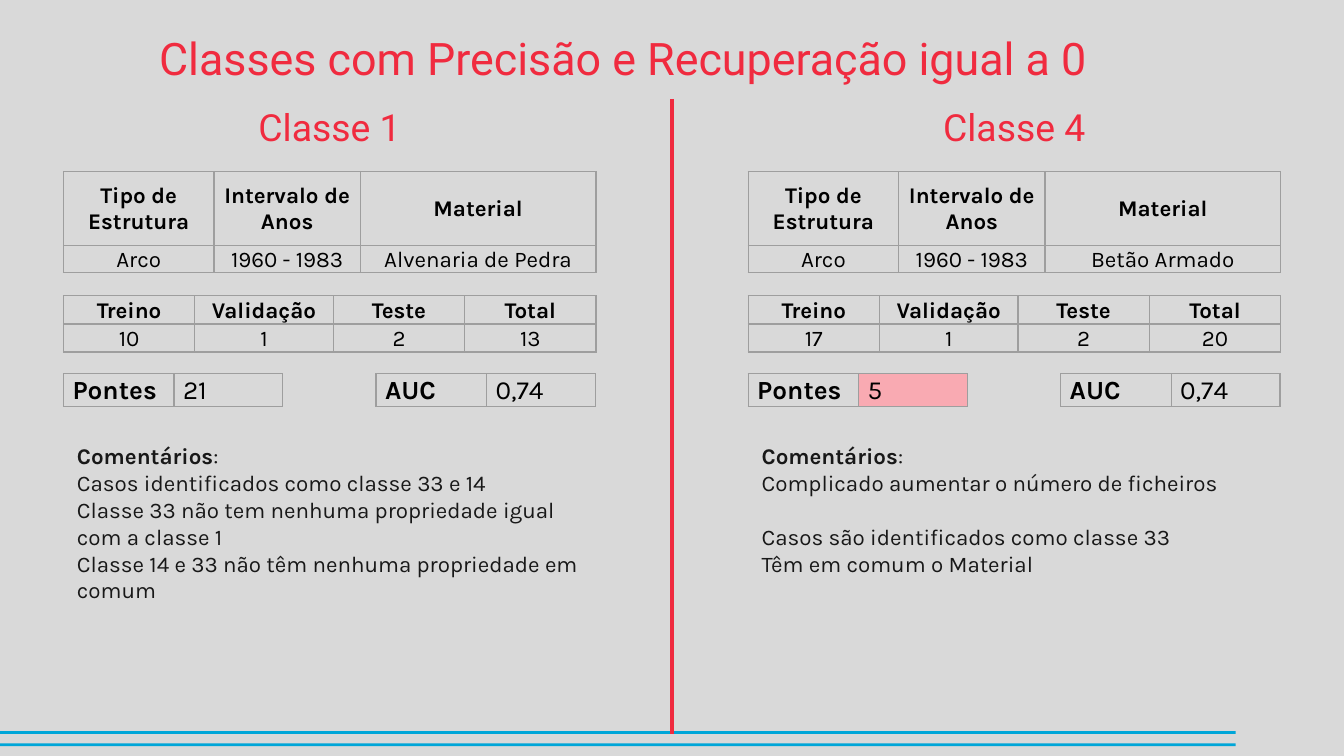
from dataclasses import dataclass

from lxml.etree import SubElement
from pptx import Presentation
from pptx.dml.color import RGBColor
from pptx.enum.shapes import MSO_CONNECTOR as Connector, MSO_SHAPE as Preset
from pptx.enum.text import MSO_ANCHOR as Anchor, MSO_AUTO_SIZE as AutoSize, PP_ALIGN as Align
from pptx.oxml.ns import qn
from pptx.util import Pt

RED, BLUE, GREY, PINK = "F02B3F", "00A6D8", "9E9E9E", "F9AAB2"
BLACK, INK, BACKDROP = "000000", "181818", "D9D9D9"


@dataclass(frozen=True)
class TableStyle:
    widths: tuple[float, ...]
    heights: tuple[float, ...]
    size: float = 12
    align: Align = Align.CENTER
    anchor: Anchor = Anchor.TOP
    insets: tuple[float, float, float, float] = (4.9, 0, 4.9, 0)
    spacing: float = 1.07
    header_row: bool = True


@dataclass(frozen=True)
class ClassPanel:
    left: float
    heading: str
    material: str
    counts: tuple[str, ...]
    bridges: str
    auc: str
    comments: tuple[tuple[str, float], ...]
    bridges_fill: str | None = None


PROPERTIES = TableStyle((80.7, 78.4, 126.2), (39.6, 14.6), anchor=Anchor.MIDDLE,
                        insets=(0.7, 0.7, 0.7, 0), spacing=1)
SAMPLES = TableStyle((70.4, 74.2, 70.4, 70.4), (15, 15))
METRIC = TableStyle((59.2, 58.3), (17.6,), size=14, align=Align.JUSTIFY, header_row=False)

PANELS = (
    ClassPanel(34, "Classe 1", "Alvenaria de Pedra", ("10", "1", "2", "13"), "21", "0,74", (
        ("Casos identificados como classe 33 e 14", 0),
        ("Classe 33 não tem nenhuma propriedade igual com a classe 1", 0),
        ("Classe 14 e 33 não têm nenhuma propriedade em comum", 0))),
    ClassPanel(400.8, "Classe 4", "Betão Armado", ("17", "1", "2", "20"), "5", "0,74", (
        ("Complicado aumentar o número de ficheiros", 0),
        ("Casos são identificados como classe 33", 14.4),
        ("Têm em comum o Material", 0)), PINK),
)


def rgb(value: str) -> RGBColor:
    return RGBColor.from_string(value)


def write(paragraph, text: str, *, size: float = 12, font: str = "Karla", color: str = BLACK,
          bold: bool = False, align: Align = Align.LEFT, spacing: float = 1,
          before: float = 0) -> None:
    paragraph.alignment = align
    paragraph.line_spacing = spacing
    paragraph.space_before = Pt(before)
    paragraph.space_after = Pt(0)
    run = paragraph.add_run()
    run.text = text
    run.font.size = Pt(size)
    run.font.name = font
    run.font.bold = bold
    run.font.color.rgb = rgb(color)


def place(shape, left: float, top: float, width: float, height: float) -> None:
    shape.left, shape.top, shape.width, shape.height = map(Pt, (left, top, width, height))


def prepare_frame(frame, anchor: Anchor) -> None:
    frame.word_wrap = True
    frame.auto_size = AutoSize.NONE
    frame.vertical_anchor = anchor
    frame.margin_left = frame.margin_top = frame.margin_right = frame.margin_bottom = Pt(7.2)


def outline_cell(cell) -> None:
    properties = cell._tc.get_or_add_tcPr()
    for side in ("a:lnL", "a:lnR", "a:lnT", "a:lnB"):
        border = SubElement(properties, qn(side), w=str(Pt(0.75)))
        SubElement(SubElement(border, qn("a:solidFill")), qn("a:srgbClr"), val=GREY)


def add_grid(slide, left: float, top: float, rows: tuple[tuple[str, ...], ...],
             style: TableStyle, value_fill: str | None = None) -> None:
    table = slide.shapes.add_table(len(rows), len(style.widths), Pt(left), Pt(top),
                                   Pt(sum(style.widths)), Pt(sum(style.heights))).table
    table.first_row = table.horz_banding = False
    for column, width in zip(table.columns, style.widths):
        column.width = Pt(width)
    for row, height in zip(table.rows, style.heights):
        row.height = Pt(height)
    for r, texts in enumerate(rows):
        for c, text in enumerate(texts):
            cell = table.cell(r, c)
            is_label = (r if style.header_row else c) == 0
            (cell.margin_left, cell.margin_top,
             cell.margin_right, cell.margin_bottom) = map(Pt, style.insets)
            cell.vertical_anchor = style.anchor
            outline_cell(cell)
            if value_fill and not is_label:
                cell.fill.solid()
                cell.fill.fore_color.rgb = rgb(value_fill)
            else:
                cell.fill.background()
            write(cell.text_frame.paragraphs[0], text, size=style.size, bold=is_label,
                  align=style.align, spacing=style.spacing)


def add_comments(placeholder, panel: ClassPanel) -> None:
    place(placeholder, panel.left, 229.7, 285.1, 141.8)
    frame = placeholder.text_frame
    prepare_frame(frame, Anchor.TOP)
    lines = (("Comentários", 0), *panel.comments)
    for number, (text, before) in enumerate(lines):
        paragraph = frame.add_paragraph() if number else frame.paragraphs[0]
        properties = paragraph._p.get_or_add_pPr()
        properties.set("marL", "0")
        properties.set("indent", "0")
        SubElement(properties, qn("a:buNone"))
        write(paragraph, text, color=INK, bold=number == 0, before=before)
    write(frame.paragraphs[0], ":", color=INK)


def add_panel(slide, panel: ClassPanel, comments_placeholder) -> None:
    heading = slide.shapes.add_textbox(Pt(panel.left - 14.4), Pt(54), Pt(314), Pt(28))
    prepare_frame(heading.text_frame, Anchor.MIDDLE)
    write(heading.text_frame.paragraphs[0], panel.heading, size=20, font="Roboto",
          color=RED, align=Align.CENTER)
    add_grid(slide, panel.left, 91.8,
             (("Tipo de Estrutura", "Intervalo de Anos", "Material"),
              ("Arco", "1960 - 1983", panel.material)), PROPERTIES)
    add_grid(slide, panel.left, 158.5,
             (("Treino", "Validação", "Teste", "Total"), panel.counts), SAMPLES)
    add_grid(slide, panel.left, 200.2, (("Pontes", panel.bridges),), METRIC, panel.bridges_fill)
    add_grid(slide, panel.left + 167.4, 200.2, (("AUC", panel.auc),), METRIC)
    add_comments(comments_placeholder, panel)


def add_footer_rule(slide, top: float) -> None:
    rule = slide.shapes.add_shape(Preset.RECTANGLE, Pt(-2), Pt(top), Pt(664), Pt(1.5))
    rule.shadow.inherit = False
    rule.fill.solid()
    rule.fill.fore_color.rgb = rgb(BLUE)
    rule.line.fill.background()


def add_divider(slide) -> None:
    divider = slide.shapes.add_connector(Connector.STRAIGHT, Pt(360), Pt(53), Pt(360), Pt(393))
    divider.line.color.rgb = rgb(RED)
    divider.line.width = Pt(2.25)
    SubElement(divider._element.spPr, qn("a:effectLst"))


def main() -> None:
    """Build the slide comparing two classes with zero precision and recall."""
    deck = Presentation()
    deck.slide_width, deck.slide_height = Pt(720), Pt(405)
    slide = deck.slides.add_slide(deck.slide_layouts[3])
    slide.background.fill.solid()
    slide.background.fill.fore_color.rgb = rgb(BACKDROP)

    title = slide.shapes.title
    place(title, 30.2, 11.5, 607, 38.2)
    prepare_frame(title.text_frame, Anchor.MIDDLE)
    write(title.text_frame.paragraphs[0], "Classes com Precisão e Recuperação igual a 0",
          size=24, font="Roboto", color=RED, align=Align.CENTER)

    for top in (391.7, 398.2):
        add_footer_rule(slide, top)
    for index, panel in enumerate(PANELS, start=1):
        add_panel(slide, panel, slide.placeholders[index])
    add_divider(slide)
    deck.save("out.pptx")


if __name__ == "__main__":
    main()
